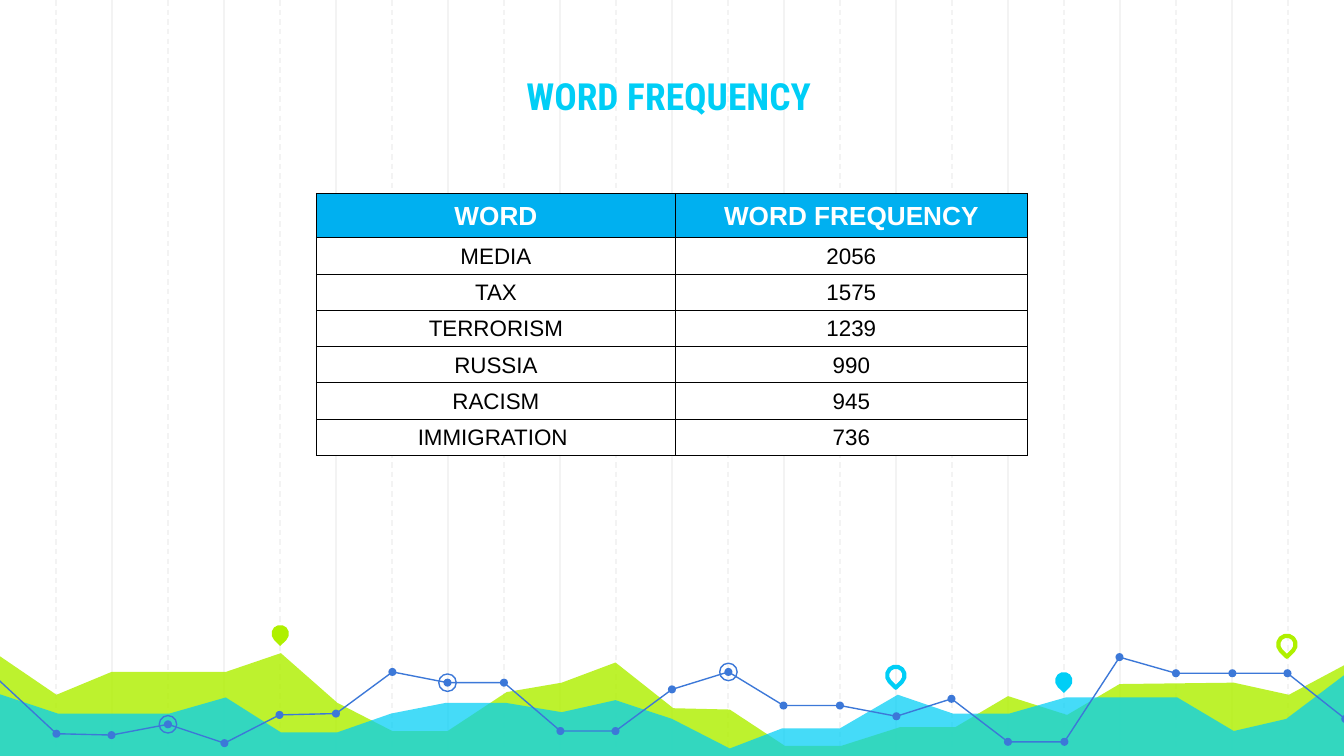
from dataclasses import dataclass
from typing import Optional

import pptx
import pptx.dml.color
import pptx.enum.dml
import pptx.enum.shapes
import pptx.enum.text
import pptx.oxml
import pptx.oxml.ns
import pptx.util

Inches = pptx.util.Inches
Pt = pptx.util.Pt
Kind = pptx.enum.shapes.MSO_SHAPE
Point = tuple[float, float]
WIDE = 10


@dataclass(frozen=True)
class Theme:
    lime: str = "AFF000"
    cyan: str = "00CEF6"
    blue: str = "3C78D8"
    grid: str = "F3F3F3"
    head: str = "00B0F0"
    white: str = "FFFFFF"
    black: str = "000000"
    title_font: str = "Roboto Condensed"
    font: str = "Arial"
    title_size: float = 20
    head_size: float = 14
    size: float = 12
    thin: float = 0.75
    thick: float = 2.25


@dataclass(frozen=True)
class Area:
    color: str
    alpha: int
    points: list[Point]


@dataclass(frozen=True)
class Pin:
    left: float
    top: float
    color: str
    solid: bool


THEME = Theme()
AREAS = [
    Area(THEME.lime, 82, [
        (-0.02, 4.87), (0.42, 5.17), (0.83, 5), (1.68, 5), (2.09, 4.86), (2.51, 5.23),
        (2.92, 5.44), (3.33, 5.44), (3.77, 5.15), (4.18, 5.08), (4.58, 4.93), (5.01, 5.27),
        (5.43, 5.28), (5.84, 5.55), (6.26, 5.55), (6.7, 5.41), (7.11, 5.41), (7.5, 5.18),
        (7.94, 5.32), (8.33, 5.09), (9.18, 5.08), (9.59, 5.17), (10.02, 4.94),
        (10.01, 5.64), (-0.03, 5.64)]),
    Area(THEME.cyan, 73, [
        (-0.02, 5.16), (0.43, 5.31), (1.26, 5.31), (1.68, 5.19), (2.09, 5.45), (2.51, 5.45),
        (2.91, 5.31), (3.32, 5.23), (3.76, 5.23), (4.18, 5.3), (4.58, 5.21), (5, 5.35),
        (5.43, 5.57), (5.82, 5.42), (6.25, 5.42), (6.68, 5.17), (7.09, 5.31), (7.51, 5.31),
        (7.93, 5.19), (8.76, 5.19), (9.18, 5.44), (9.57, 5.35), (10.02, 5.01),
        (10.02, 5.65), (-0.03, 5.65)]),
]
PINS = [
    Pin(2.02, 4.65, THEME.lime, True),
    Pin(6.6, 4.96, THEME.cyan, False),
    Pin(7.85, 5, THEME.cyan, True),
    Pin(9.51, 4.73, THEME.lime, False),
]
TREND = [
    (-0.01, 5.06), (0.42, 5.46), (0.83, 5.47), (1.25, 5.39), (1.67, 5.53), (2.08, 5.32),
    (2.5, 5.31), (2.92, 5), (3.33, 5.08), (3.75, 5.08), (4.17, 5.44), (4.58, 5.44),
    (5, 5.13), (5.42, 5), (5.83, 5.25), (6.25, 5.25), (6.67, 5.33), (7.08, 5.2),
    (7.5, 5.52), (7.92, 5.52), (8.33, 4.89), (8.75, 5.01), (9.17, 5.01), (9.58, 5.01),
    (10.01, 5.35)]
CUTS = [0, 11, 20, 24]
RINGS = [8, 3, 13]
ROWS = [
    ("WORD", "WORD FREQUENCY"), ("MEDIA", "2056"), ("TAX", "1575"),
    ("TERRORISM", "1239"), ("RUSSIA", "990"), ("RACISM", "945"), ("IMMIGRATION ", "736")]


def rgb(color: str) -> pptx.dml.color.RGBColor:
    return pptx.dml.color.RGBColor.from_string(color)


def paint(shape, fill: Optional[str] = None, line: Optional[str] = None,
          width: float = THEME.thin) -> None:
    """Set fill and line, leaving out whichever has no colour."""
    shape.shadow.inherit = False
    if fill:
        shape.fill.solid()
        shape.fill.fore_color.rgb = rgb(fill)
    else:
        shape.fill.background()
    if line:
        shape.line.color.rgb = rgb(line)
        shape.line.width = Pt(width)
    else:
        shape.line.fill.background()


def draw_grid(shapes, count: int = 24, height: float = 5.65) -> None:
    """Draw the solid rules, then the dashed ones between them."""
    step = WIDE / count
    for first in (2, 1):
        for i in range(first, count, 2):
            x = Inches(i * step)
            rule = shapes.add_connector(
                pptx.enum.shapes.MSO_CONNECTOR.STRAIGHT, x, 0, x, Inches(height))
            rule.line.color.rgb = rgb(THEME.grid)
            rule.line.width = Pt(THEME.thin)
            if first == 1:
                rule.line.dash_style = pptx.enum.dml.MSO_LINE.DASH
            rule.element.spPr.append(pptx.oxml.parse_xml(
                f'<a:effectLst {pptx.oxml.ns.nsdecls("a")}/>'))


def trace(shapes, points: list[Point], close: bool):
    spots = [(Inches(x), Inches(y)) for x, y in points]
    pen = shapes.build_freeform(*spots[0])
    pen.add_line_segments(spots[1:], close=close)
    return pen.convert_to_shape()


def draw_area(shapes, area: Area) -> None:
    shape = trace(shapes, area.points, True)
    paint(shape, area.color)
    tint = shape.element.spPr.find(".//" + pptx.oxml.ns.qn("a:srgbClr"))
    tint.append(pptx.oxml.parse_xml(
        f'<a:alpha {pptx.oxml.ns.nsdecls("a")} val="{area.alpha * 1000}"/>'))


def draw_pin(shapes, pin: Pin, size: float = 0.13) -> None:
    drop = shapes.add_shape(
        Kind.TEAR, Inches(pin.left), Inches(pin.top), Inches(size), Inches(size))
    drop.adjustments[0] = 1
    drop.rotation = 135
    if pin.solid:
        paint(drop, pin.color)
    else:
        paint(drop, line=pin.color, width=THEME.thick)


def add_round(shapes, spot: Point, size: float):
    x, y = spot
    return shapes.add_shape(Kind.OVAL, Inches(x - size / 2), Inches(y - size / 2),
                            Inches(size), Inches(size))


def draw_trend(shapes) -> None:
    for start, end in zip(CUTS, CUTS[1:]):
        paint(trace(shapes, TREND[start:end + 1], False), line=THEME.blue)
    for spot in TREND[1:]:
        paint(add_round(shapes, spot, 0.06), THEME.blue)
    for i in RINGS:
        paint(add_round(shapes, TREND[i], 0.13), line=THEME.blue)


def write(frame, text: str, font: str, size: float, color: str, bold: bool) -> None:
    para = frame.paragraphs[0]
    para.alignment = pptx.enum.text.PP_ALIGN.CENTER
    run = para.add_run()
    run.text = text
    run.font.name = font
    run.font.size = Pt(size)
    run.font.bold = bold
    run.font.color.rgb = rgb(color)


def draw_title(shapes) -> None:
    frame = shapes.add_textbox(
        Inches(1.15), Inches(0.41), Inches(7.65), Inches(0.57)).text_frame
    frame.word_wrap = True
    frame.vertical_anchor = pptx.enum.text.MSO_ANCHOR.BOTTOM
    frame.margin_left = frame.margin_right = Inches(0.1)
    frame.margin_top = frame.margin_bottom = Inches(0.1)
    write(frame, "WORD FREQUENCY", THEME.title_font, THEME.title_size, THEME.cyan, True)


def style_cell(cell, fill: str) -> None:
    props = cell._tc.get_or_add_tcPr()
    for side in "LRTB":
        props.append(pptx.oxml.parse_xml(
            f'<a:ln{side} {pptx.oxml.ns.nsdecls("a")} w="{Pt(THEME.thin)}"><a:solidFill>'
            f'<a:srgbClr val="{THEME.black}"/></a:solidFill></a:ln{side}>'))
    cell.fill.solid()
    cell.fill.fore_color.rgb = rgb(fill)
    cell.vertical_anchor = pptx.enum.text.MSO_ANCHOR.MIDDLE
    cell.margin_left = cell.margin_right = cell.margin_top = Inches(0.01)
    cell.margin_bottom = 0


def draw_table(shapes) -> None:
    """Draw the word counts, centred across the slide."""
    widths = [2.67, 2.62]
    heights = [0.33] + [0.27] * (len(ROWS) - 1)
    total = sum(widths)
    table = shapes.add_table(
        len(ROWS), len(widths), Inches((WIDE - total) / 2), Inches(1.44),
        Inches(total), Inches(sum(heights))).table
    for col, width in zip(table.columns, widths):
        col.width = Inches(width)
    for r, (words, height) in enumerate(zip(ROWS, heights)):
        table.rows[r].height = Inches(height)
        top = r == 0
        for c, text in enumerate(words):
            cell = table.cell(r, c)
            style_cell(cell, THEME.head if top else THEME.white)
            write(cell.text_frame, text, THEME.font,
                  THEME.head_size if top else THEME.size,
                  THEME.white if top else THEME.black, top)


def main() -> None:
    deck = pptx.Presentation()
    deck.slide_width = Inches(WIDE)
    deck.slide_height = Inches(WIDE * 9 / 16)
    shapes = deck.slides.add_slide(deck.slide_layouts[6]).shapes
    draw_grid(shapes)
    for area in AREAS:
        draw_area(shapes, area)
    for pin in PINS:
        draw_pin(shapes, pin)
    draw_trend(shapes)
    draw_title(shapes)
    draw_table(shapes)
    deck.save("out.pptx")


if __name__ == "__main__":
    main()
